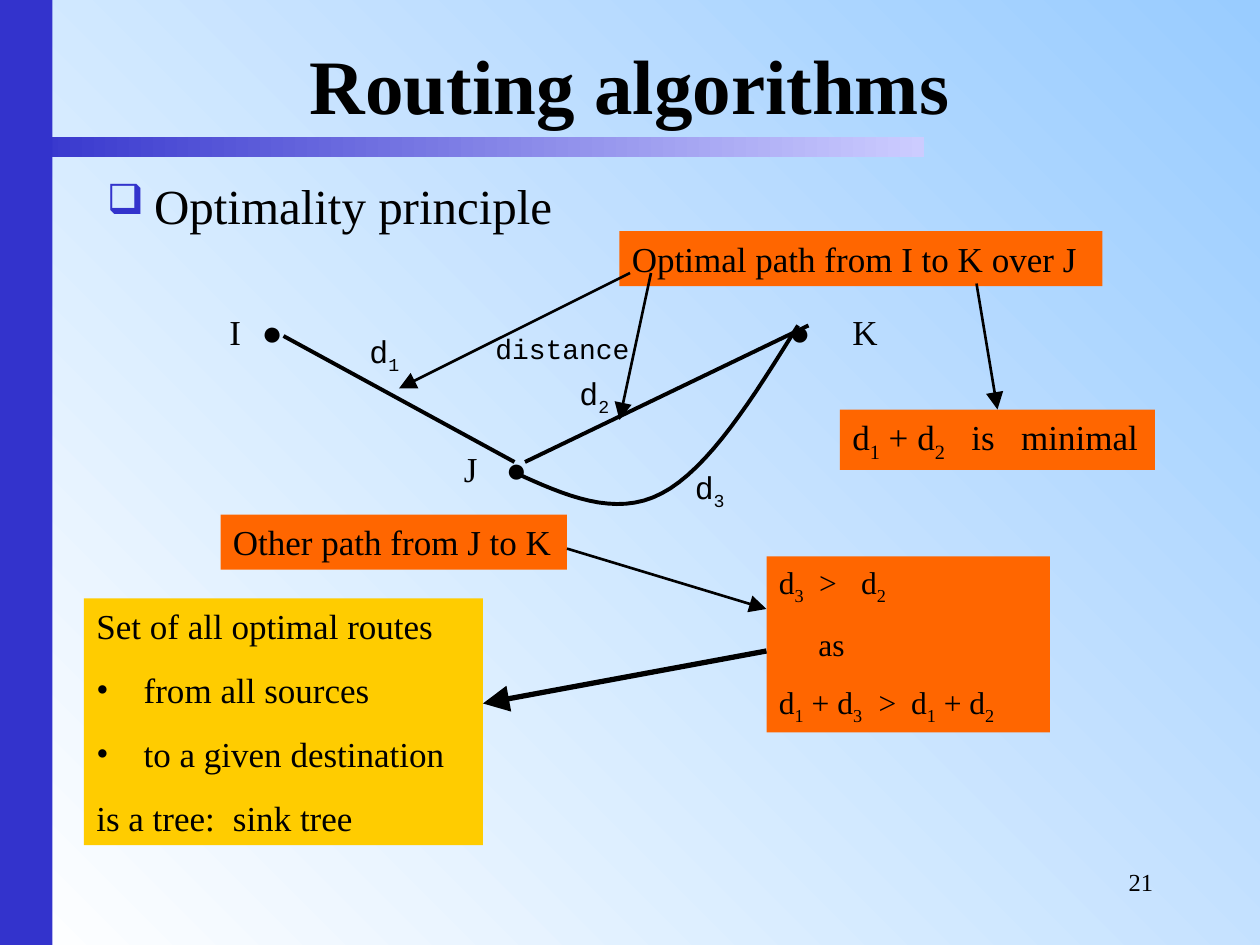
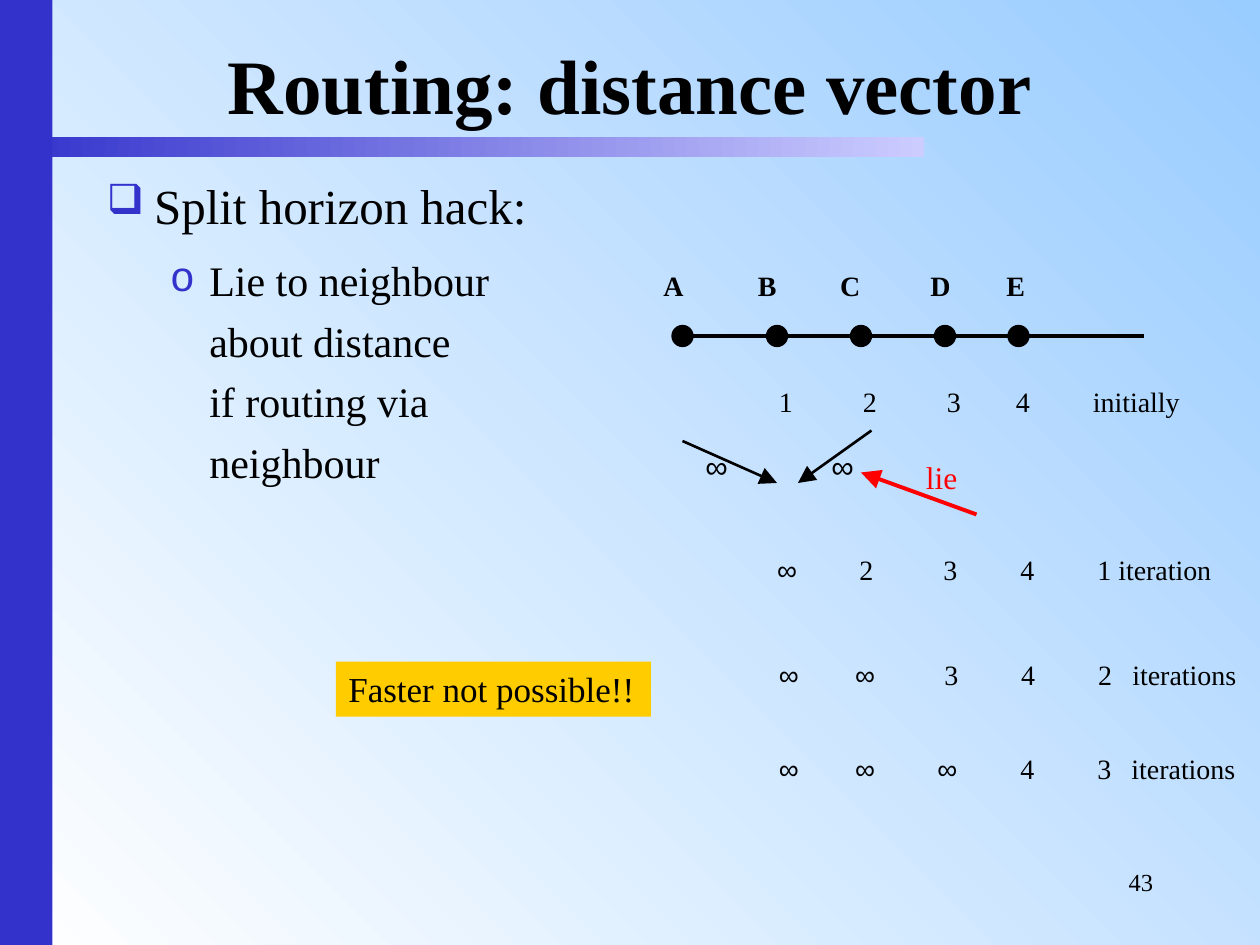
from dataclasses import dataclass
from itertools import groupby

from lxml import etree
from pptx import Presentation
from pptx import util as u
from pptx.dml.color import RGBColor
from pptx.enum import shapes, text
from pptx.oxml.ns import qn


@dataclass(frozen=True)
class Theme:
    ink: str = "000000"
    accent: str = "3333CC"
    accent_light: str = "CCCCFF"
    sky: str = "99CCFF"
    white: str = "FFFFFF"
    orange: str = "FF6600"
    yellow: str = "FFCC00"
    red: str = "FF0000"
    serif: str = "Times New Roman"
    mono: str = "Courier New"
    symbol: str = "Arial"
    title: float = 44
    topic: float = 28
    point: float = 24
    note: float = 20
    label: float = 18
    row: float = 16
    number: float = 14


theme = Theme()
rgb = RGBColor.from_string
subscripts = str.maketrans("₁₂₃", "123")


def box(slide, left, top, width, height, fill=None):
    area = slide.shapes.add_textbox(u.Pt(left), u.Pt(top), u.Pt(width), u.Pt(height))
    area.text_frame.word_wrap = True
    if fill:
        area.fill.solid()
        area.fill.fore_color.rgb = rgb(fill)
    return area.text_frame


def write(frame, line, size=theme.note, font=theme.serif, color=theme.ink, bold=False,
          align=None, before=0, spacing=None, tabs=(), left=0, hang=0,
          bullet=None, bullet_color=theme.ink, bullet_size=100, bullet_font=None):
    paragraph = frame.add_paragraph() if frame.text else frame.paragraphs[0]
    props = paragraph._p.get_or_add_pPr()
    if bullet:
        props.set("marL", str(u.Pt(left)))
        props.set("indent", str(u.Pt(-hang)))
        tint = etree.SubElement(props, qn("a:buClr"))
        etree.SubElement(tint, qn("a:srgbClr"), val=bullet_color)
        etree.SubElement(props, qn("a:buSzPct"), val=str(bullet_size * 1000))
        if bullet_font:
            etree.SubElement(props, qn("a:buFont"), typeface=bullet_font)
        etree.SubElement(props, qn("a:buChar"), char=bullet)
    if tabs:
        stops = etree.SubElement(props, qn("a:tabLst"))
        for stop in tabs:
            etree.SubElement(stops, qn("a:tab"), pos=str(u.Pt(stop)), algn="l")
    paragraph.alignment = align
    paragraph.space_before = u.Pt(before)
    if spacing:
        paragraph.line_spacing = spacing
    groups = groupby(line, lambda c: next((k for k in ("₁₂₃", "∞●", "\n") if c in k), ""))
    for kind, chars in groups:
        if kind == "\n":
            paragraph.add_line_break()
            continue
        run = paragraph.add_run()
        run.text = "".join(chars).translate(subscripts)
        run.font.size = u.Pt(size)
        run.font.name = theme.symbol if kind == "∞●" else font
        run.font.bold = bold
        run.font.color.rgb = rgb(color)
        if kind == "₁₂₃":
            run.font._element.set("baseline", "-25000")


prs = Presentation()
prs.slide_width, prs.slide_height = u.Pt(720), u.Pt(540)
layout = prs.slide_layouts[5]
optimality = prs.slides.add_slide(layout)
horizon = prs.slides.add_slide(layout)

backdrop = prs.slide_master.background.fill
side_band = optimality.shapes.add_shape(shapes.MSO_SHAPE.RECTANGLE, 0, 0, u.Pt(30), u.Pt(540))
side_band.fill.solid()
side_band.fill.fore_color.rgb = rgb(theme.accent)
title_rule = optimality.shapes.add_shape(
    shapes.MSO_SHAPE.RECTANGLE, u.Pt(6), u.Pt(78), u.Pt(522), u.Pt(12))
for fill, angle, colors in (
    (backdrop, 225, (theme.sky, theme.white)),
    (title_rule.fill, 180, (theme.accent_light, theme.accent)),
):
    fill.gradient()
    fill.gradient_angle = angle
    for stop, color in zip(fill.gradient_stops, colors):
        stop.color.rgb = rgb(color)
for band in (side_band, title_rule):
    band.shadow.inherit = False
    band.line.fill.background()
    layout.shapes._spTree.insert(2, band._element)

topic_style = dict(size=theme.topic, spacing=1.2, left=27, hang=27,
                   bullet="❑", bullet_color=theme.accent, bullet_size=85)
topics = []
for slide, heading, topic, width, number in (
    (optimality, "Routing algorithms", "Optimality principle", 612, "21"),
    (horizon, "Routing: distance vector", "Split horizon hack:", 276, "43"),
):
    title = slide.shapes.title
    title.left, title.top, title.width, title.height = map(u.Pt, (36, 18, 648, 60))
    title.text_frame.auto_size = text.MSO_AUTO_SIZE.NONE
    title.text_frame.vertical_anchor = text.MSO_ANCHOR.MIDDLE
    write(title.text_frame, heading, size=theme.title, bold=True, align=text.PP_ALIGN.CENTER)
    body = box(slide, 54, 90, width, 390)
    write(body, topic, **topic_style)
    topics.append(body)
    write(box(slide, 564, 492, 102, 36), number, size=theme.number, align=text.PP_ALIGN.RIGHT)

for words, area, style in (
    ("\tI\t●", (114, 174, 66, 31.5), dict(tabs=(10, 28.5))),
    ("●\tK", (444, 174, 72, 55), dict(tabs=(36,))),
    ("●", (282, 252, 36, 31.5), {}),
    ("J", (258, 252, 48, 31.5), {}),
    ("Optimal path from I to K over J", (354, 132, 276, 31.5, theme.orange), {}),
    ("d₁ + d₂\tis\tminimal", (480, 234, 180, 34.5, theme.orange), dict(tabs=(68, 96.5))),
    ("Other path from J to K", (126, 294, 198, 31.5, theme.orange), {}),
    ("d₁", (204, 186, 48, 31.5), dict(size=theme.label, font=theme.mono)),
    ("d₂", (324, 210, 48, 31.5), dict(size=theme.label, font=theme.mono)),
    ("d₃", (390, 264, 42, 31.5), dict(size=theme.label, font=theme.mono)),
    ("distance", (276, 186, 102, 26.5), dict(size=theme.row, font=theme.mono)),
):
    write(box(optimality, *area), words, **style)

comparison = box(optimality, 438, 318, 162, 100.5, theme.orange)
for line, before, tabs in (
    ("d₃\t>\td₂", 0, (23, 47)),
    ("\tas", 11.2, (22.5,)),
    ("d₁ + d₃\t>\td₁ + d₂", 11.2, (57, 75.5)),
):
    write(comparison, line, size=theme.label, before=before, tabs=tabs)

sink_tree = box(optimality, 48, 342, 228, 141, theme.yellow)
write(sink_tree, "Set of all optimal routes")
for route in ("from all sources", "to a given destination"):
    write(sink_tree, route, before=12.5, left=27, hang=27, bullet="•", bullet_font=theme.serif)
write(sink_tree, "is a tree:\tsink tree", before=12.5, tabs=(78,))

bends = (
    ((294, 270), (322.5, 283), (351.5, 296), (378, 282)),
    ((378, 282), (405, 268), (430.5, 227), (456, 186)),
)
steps = 16
detour_points = []
for bend in bends:
    for step in range(1, steps + 1):
        t = step / steps
        weights = ((1 - t) ** 3, 3 * t * (1 - t) ** 2, 3 * t * t * (1 - t), t ** 3)
        detour_points.append(
            tuple(u.Pt(sum(w * p[axis] for w, p in zip(weights, bend))) for axis in (0, 1)))
outline = optimality.shapes.build_freeform(*map(u.Pt, bends[0][0]))
outline.add_line_segments(detour_points, close=False)
detour = outline.convert_to_shape()
detour.shadow.inherit = False
detour.fill.background()
detour.line.color.rgb = rgb(theme.ink)
detour.line.width = u.Pt(2.25)

write(topics[1], "Lie to neighbour about distance \nif routing via neighbour",
      size=theme.point, spacing=1.2, before=6, left=58.5, hang=22.5,
      bullet="o", bullet_color=theme.accent, bullet_font=theme.mono)

for router_left in (384, 438, 486, 534, 576):
    router = horizon.shapes.add_shape(
        shapes.MSO_SHAPE.OVAL, u.Pt(router_left), u.Pt(186), u.Pt(12), u.Pt(12))
    router.shadow.inherit = False
    router.fill.solid()
    router.fill.fore_color.rgb = rgb(theme.ink)
    router.line.color.rgb = rgb(theme.ink)
    router.line.width = u.Pt(0.75)

write(box(horizon, 372, 150, 240, 26.5), "A\tB\tC\tD\tE",
      size=theme.row, bold=True, tabs=(54, 101, 152.5, 196))
for top, distances, tabs in (
    (216, "\t1\t2\t3\t4\tinitially", (72, 120, 168, 207.5, 251.5)),
    (312, "\t∞\t2\t3\t4\t1 iteration", (71, 118, 166, 210, 254)),
    (372, "\t∞\t∞\t3\t4\t2\titerations", (72, 115.5, 166.5, 210.5, 254.5, 274)),
    (426, "\t∞\t∞\t∞\t4\t3\titerations", (72, 115.5, 162.5, 210, 254, 273.5)),
):
    write(box(horizon, 366, top, 354, 26.5), distances, size=theme.row, tabs=tabs)

for words, area, color in (
    ("∞", (396, 252, 30, 29), theme.ink),
    ("∞", (468, 252, 36, 29), theme.ink),
    ("lie", (522, 258, 48, 29), theme.red),
):
    write(box(horizon, *area), words, size=theme.label, color=color)
write(box(horizon, 192, 378, 180, 31.5, theme.yellow), "Faster not possible!!")

for slide, ends, weight, color, arrow in (
    (optimality, (162, 192, 294, 264), 2.25, theme.ink, False),
    (optimality, (300, 264, 462, 186), 2.25, theme.ink, False),
    (optimality, (360, 156, 228, 222), 1.5, theme.ink, True),
    (optimality, (372, 156, 354, 240), 1.5, theme.ink, True),
    (optimality, (558, 162, 570, 234), 1.5, theme.ink, True),
    (optimality, (324, 313.5, 438, 348), 1.5, theme.ink, True),
    (optimality, (438, 372, 276, 402), 3, theme.ink, True),
    (horizon, (384, 192, 654, 192), 2.25, theme.ink, False),
    (horizon, (390, 252, 444, 276), 1.5, theme.ink, True),
    (horizon, (498, 246, 456, 276), 1.5, theme.ink, True),
    (horizon, (558, 294, 492, 270), 2.25, theme.red, True),
):
    link = slide.shapes.add_connector(shapes.MSO_CONNECTOR.STRAIGHT, *map(u.Pt, ends))
    link.line.color.rgb = rgb(color)
    link.line.width = u.Pt(weight)
    if arrow:
        etree.SubElement(link.line._get_or_add_ln(), qn("a:tailEnd"),
                         type="triangle", w="lg", len="lg")
    etree.SubElement(link._element.spPr, qn("a:effectLst"))

prs.save("out.pptx")
